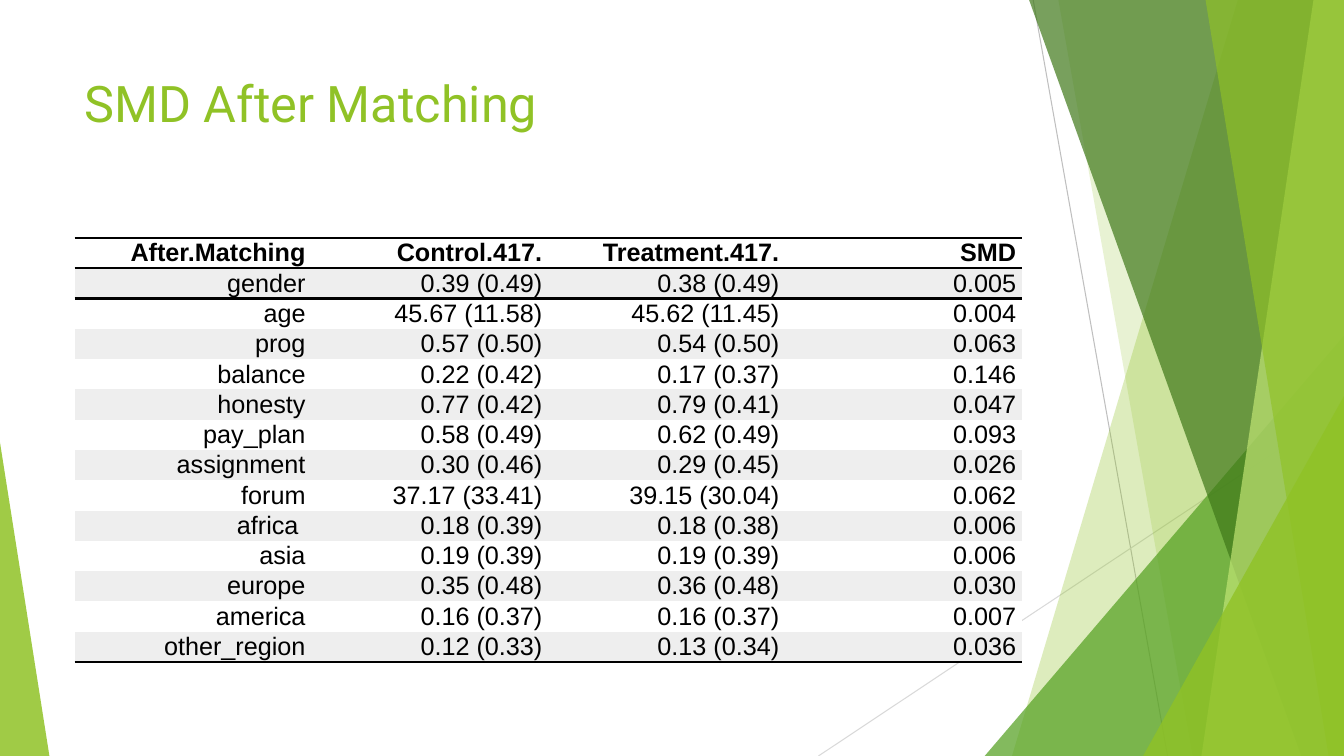
from dataclasses import dataclass

from lxml import etree
from pptx import Presentation
from pptx.dml.color import RGBColor
from pptx.enum.shapes import MSO_CONNECTOR, MSO_SHAPE
from pptx.enum.text import MSO_ANCHOR, PP_ALIGN
from pptx.oxml.ns import qn
from pptx.util import Pt

STRAIGHT = MSO_CONNECTOR.STRAIGHT
TRIANGLE = MSO_SHAPE.ISOSCELES_TRIANGLE
RIGHT = PP_ALIGN.RIGHT
MIDDLE, TOP = MSO_ANCHOR.MIDDLE, MSO_ANCHOR.TOP
WIDE, HIGH = 960, 540
PLAIN = "{2D5ABB26-0587-4C30-8999-92F81FD0307C}"


@dataclass(frozen=True)
class Theme:
    lime: str = "90C226"
    leaf: str = "54A021"
    moss: str = "3F7819"
    pale: str = "C0E474"
    ink: str = "000000"
    white: str = "FFFFFF"
    band: str = "EEEEEE"
    title: int = 36
    body: int = 18
    thin: float = 0.75
    rule: int = 2


@dataclass(frozen=True)
class Ray:
    x1: float
    y1: float
    x2: float
    y2: float
    tint: str


@dataclass(frozen=True)
class Blade:
    top: float
    foot: float
    tint: str
    alpha: int


@dataclass(frozen=True)
class Peak:
    left: float
    top: float
    wide: float
    apex: int
    tint: str
    alpha: int


THEME = Theme()
RAYS = [Ray(738, 0, 834, HIGH, "BFBFBF"), Ray(WIDE, 290.2, 584.6, HIGH, "D9D9D9")]
FACETS = [
    Blade(884.2, 722.9, THEME.lime, 30),
    Blade(756, 851.8, THEME.lime, 20),
    Peak(703.4, 239.8, 256.6, 1, THEME.leaf, 72),
    Blade(735.1, 929.5, THEME.moss, 70),
    Blade(938.2, 858.2, THEME.pale, 70),
    Blade(861.1, 949, THEME.lime, 65),
    Peak(816.5, 283, 143.5, 1, THEME.lime, 80),
    Peak(0, 316.1, 35.3, 0, THEME.lime, 85),
]
ROWS = [
    ("After.Matching", "Control.417.", "Treatment.417.", "SMD"),
    ("gender", "0.39 (0.49)", "0.38 (0.49)", "0.005"),
    ("age", "45.67 (11.58)", "45.62 (11.45)", "0.004"),
    ("prog", "0.57 (0.50)", "0.54 (0.50)", "0.063"),
    ("balance", "0.22 (0.42)", "0.17 (0.37)", "0.146"),
    ("honesty", "0.77 (0.42)", "0.79 (0.41)", "0.047"),
    ("pay_plan", "0.58 (0.49)", "0.62 (0.49)", "0.093"),
    ("assignment", "0.30 (0.46)", "0.29 (0.45)", "0.026"),
    ("forum", "37.17 (33.41)", "39.15 (30.04)", "0.062"),
    ("africa ", "0.18 (0.39)", "0.18 (0.38)", "0.006"),
    ("asia", "0.19 (0.39)", "0.19 (0.39)", "0.006"),
    ("europe", "0.35 (0.48)", "0.36 (0.48)", "0.030"),
    ("america", "0.16 (0.37)", "0.16 (0.37)", "0.007"),
    ("other_region", "0.12 (0.33)", "0.13 (0.34)", "0.036"),
]


def hue(code: str) -> RGBColor:
    return RGBColor.from_string(code)


def draw_ray(slide, ray: Ray) -> None:
    line = slide.shapes.add_connector(
        STRAIGHT, Pt(ray.x1), Pt(ray.y1), Pt(ray.x2), Pt(ray.y2))
    line.line.color.rgb = hue(ray.tint)
    line.line.width = Pt(THEME.thin)
    etree.SubElement(line.element.spPr, qn("a:effectLst"))


def draw_facet(slide, facet: Blade | Peak) -> None:
    if isinstance(facet, Blade):
        pen = slide.shapes.build_freeform(Pt(facet.top), Pt(0))
        pen.add_line_segments([(Pt(WIDE), Pt(0)), (Pt(WIDE), Pt(HIGH)),
                               (Pt(facet.foot), Pt(HIGH))], close=True)
        shape = pen.convert_to_shape()
    else:
        shape = slide.shapes.add_shape(TRIANGLE, Pt(facet.left), Pt(facet.top),
                                       Pt(facet.wide), Pt(HIGH - facet.top))
        shape.adjustments[0] = facet.apex
    shape.shadow.inherit = False
    shape.line.fill.background()
    shape.fill.solid()
    shape.fill.fore_color.rgb = hue(facet.tint)
    tone = next(shape.element.spPr.iter(qn("a:srgbClr")))
    etree.SubElement(tone, qn("a:alpha"), val=str(facet.alpha * 1000))


def style_run(run, face: str, size: int, tint: str, bold: bool = False) -> None:
    run.font.name = face
    run.font.size = Pt(size)
    run.font.bold = bold
    run.font.color.rgb = hue(tint)


def draw_title(slide, text: str) -> None:
    box = slide.shapes.add_textbox(Pt(53.3), Pt(48), Pt(676.8), Pt(104))
    frame = box.text_frame
    frame.word_wrap = True
    frame.vertical_anchor = TOP
    frame.text = text
    style_run(frame.paragraphs[0].runs[0], "Roboto", THEME.title, THEME.lime)


def add_edge(cell, side: str) -> None:
    props = cell._tc.get_or_add_tcPr()
    edge = etree.SubElement(props, qn(side), w=str(Pt(THEME.rule)))
    fill = etree.SubElement(edge, qn("a:solidFill"))
    etree.SubElement(fill, qn("a:srgbClr"), val=THEME.ink)


def fill_cell(cell, text: str, row: int) -> None:
    cell.margin_top = cell.margin_bottom = 0
    cell.margin_left = cell.margin_right = Pt(4.3)
    cell.vertical_anchor = MIDDLE
    if row < 2:
        add_edge(cell, "a:lnT")
    if row in (0, len(ROWS) - 1):
        add_edge(cell, "a:lnB")
    if row:
        cell.fill.solid()
        cell.fill.fore_color.rgb = hue(THEME.band if row % 2 else THEME.white)
    else:
        cell.fill.background()
    cell.text_frame.text = text
    para = cell.text_frame.paragraphs[0]
    para.alignment = RIGHT
    para.space_before = para.space_after = Pt(1)
    style_run(para.runs[0], "Arial", THEME.body, THEME.ink, row == 0)


def draw_table(slide) -> None:
    pitch = 20.2
    frame = slide.shapes.add_table(len(ROWS), len(ROWS[0]), Pt(53.3), Pt(170),
                                   Pt(676.8), Pt(pitch * len(ROWS)))
    table = frame.table
    table.first_row = table.horz_banding = False
    next(frame.element.iter(qn("a:tableStyleId"))).text = PLAIN
    for row, texts in enumerate(ROWS):
        table.rows[row].height = Pt(pitch)
        for col, text in enumerate(texts):
            fill_cell(table.cell(row, col), text, row)


deck = Presentation()
deck.slide_width, deck.slide_height = Pt(WIDE), Pt(HIGH)
slide = deck.slides.add_slide(deck.slide_layouts[6])
for ray in RAYS:
    draw_ray(slide, ray)
for facet in FACETS:
    draw_facet(slide, facet)
draw_title(slide, "SMD After Matching")
draw_table(slide)
deck.save("out.pptx")
